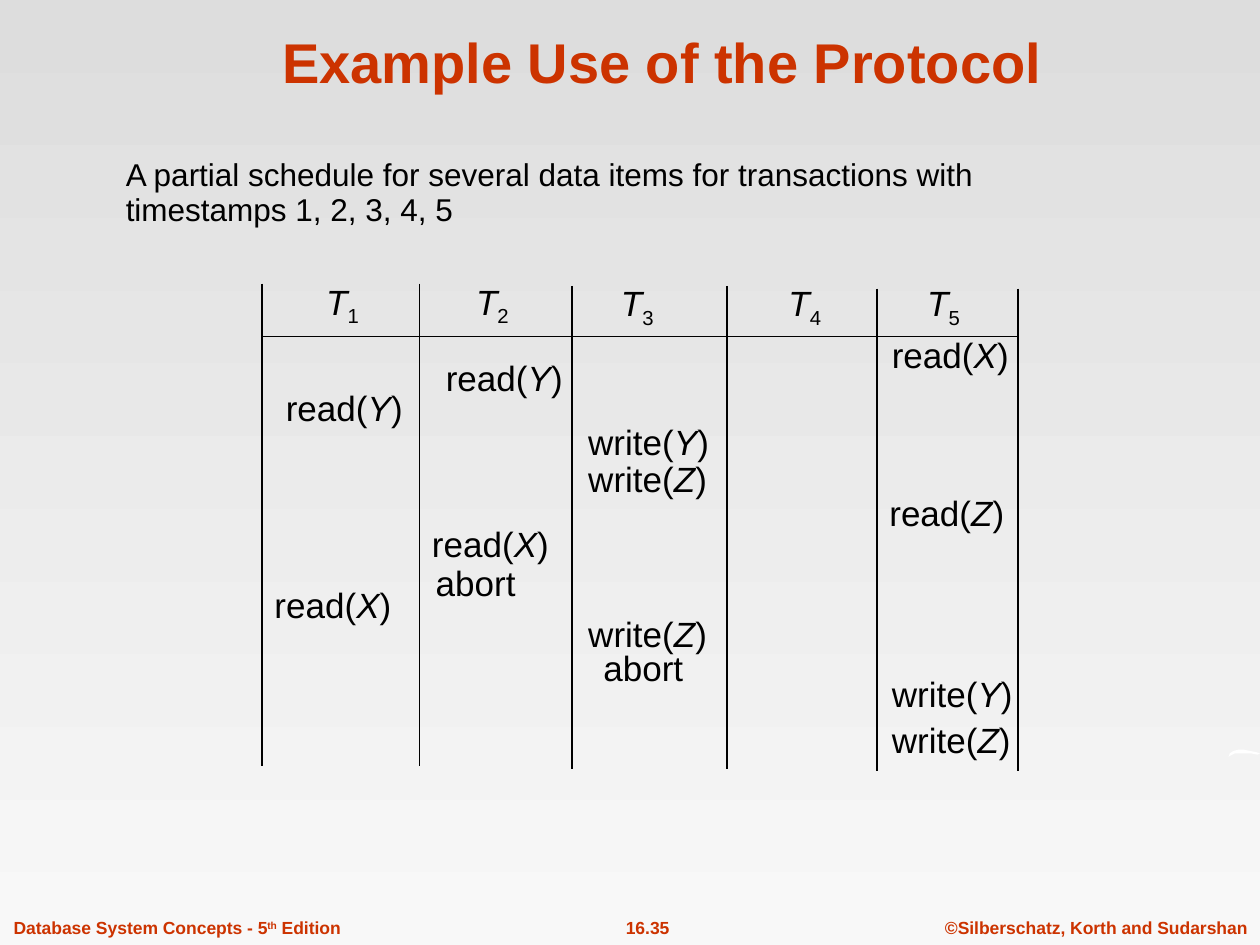
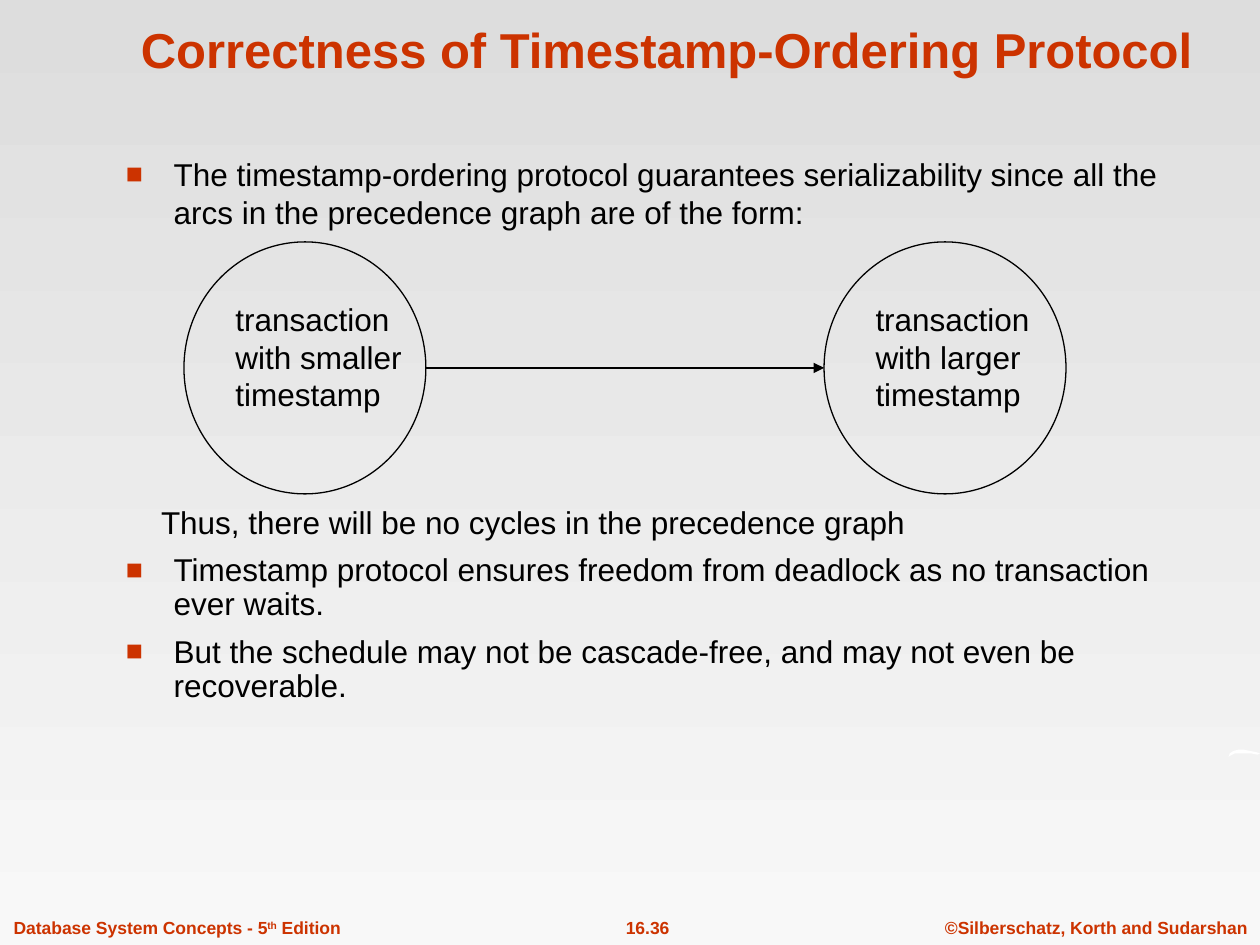
import pptx
import pptx.util
from lxml import etree
from pptx.dml.color import RGBColor
from pptx.enum.shapes import MSO_CONNECTOR, MSO_SHAPE
from pptx.enum.text import MSO_ANCHOR, MSO_AUTO_SIZE, PP_ALIGN
from pptx.oxml.ns import qn
from pptx.util import Inches, Pt

RED = RGBColor(0xCC, 0x33, 0x00)
BLACK = RGBColor(0x00, 0x00, 0x00)
WHITE = RGBColor(0xFF, 0xFF, 0xFF)
TOP_GRAY = RGBColor(0xDD, 0xDD, 0xDD)
BOTTOM_GRAY = RGBColor(0xF8, 0xF8, 0xF8)
FONT = "Arial"
LINE_HEIGHT = 1.2

SWOOSH = [(9.75, 6.01), (9.76, 5.98), (9.79, 5.96), (9.83, 5.95), (9.87, 5.95),
          (9.92, 5.96), (9.97, 5.97), (10, 5.98), (9.98, 5.99), (9.93, 5.98),
          (9.88, 5.98), (9.8, 5.98), (9.76, 6)]

# Column rules (x, top) and headings (left, top) of the schedule
RULES = [(2.08, 2.25), (3.33, 2.25), (4.54, 2.27), (5.77, 2.27), (6.96, 2.29), (8.08, 2.29)]
RULE_LENGTH = 3.83
HEADINGS = [(2.49, 2.22), (3.68, 2.22), (4.83, 2.23), (6.16, 2.23), (7.26, 2.23)]

# Steps of the schedule: left, top, width, action, data item
STEPS = [
    (3.44, 2.78, 1.13, "read", "Y"),
    (6.98, 2.6, 1.2, "read", "X"),
    (2.17, 3.02, 1.13, "read", "Y"),
    (4.57, 3.29, 1.23, "write", "Y"),
    (4.57, 3.58, 1.22, "write", "Z"),
    (6.96, 3.85, 1.19, "read", "Z"),
    (3.33, 4.1, 1.2, "read", "X"),
    (3.36, 4.41, 0.99, "abort", None),
    (2.08, 4.58, 1.2, "read", "X"),
    (4.57, 4.81, 1.22, "write", "Z"),
    (4.69, 5.08, 0.99, "abort", None),
    (6.98, 5.29, 1.23, "write", "Y"),
    (6.98, 5.65, 1.3, "write", "Z"),
]


# Text
def add_box(page, left, top, width, height, wrap=False):
    box = page.shapes.add_textbox(Inches(left), Inches(top), Inches(width), Inches(height))
    box.text_frame.word_wrap = wrap
    if not wrap:
        box.text_frame.auto_size = MSO_AUTO_SIZE.SHAPE_TO_FIT_TEXT
    return box.text_frame


def style(para, size, color=BLACK, bold=False):
    para.font.name = FONT
    para.font.size = Pt(size)
    para.font.color.rgb = color
    para.font.bold = bold
    para.line_spacing = Pt(round(size * LINE_HEIGHT, 1))


def add_span(para, text, italic=None, baseline=None):
    span = para.add_run()
    span.text = text
    # Runs repeat the paragraph's look, so that each one stands alone
    span.font.name = FONT
    span.font.size = para.font.size
    span.font.color.rgb = para.font.color.rgb
    span.font.bold = para.font.bold
    span.font.italic = italic
    if baseline is not None:
        span._r.get_or_add_rPr().set("baseline", str(baseline * 1000))


def add_text(page, place, spans, size, color=BLACK, bold=False, align=PP_ALIGN.LEFT):
    """Add one line; each span is (text, italic, baseline in percent)."""
    para = add_box(page, *place).paragraphs[0]
    style(para, size, color, bold)
    para.alignment = align
    for span in spans:
        add_span(para, *span)


def add_lines(frame, lines, size):
    """Fill a frame with plain paragraphs and return them."""
    paras = [frame.paragraphs[0]] + [frame.add_paragraph() for _ in lines[1:]]
    for para, line in zip(paras, lines):
        style(para, size)
        add_span(para, line)
    return paras


def set_bullet(para):
    props = para._p.get_or_add_pPr()
    props.set("marL", str(Inches(0.38)))
    props.set("indent", str(-Inches(0.38)))
    color = etree.Element(qn("a:buClr"))
    etree.SubElement(color, qn("a:srgbClr")).set("val", str(RED))
    size = etree.Element(qn("a:buSzPct"), val="90000")
    font = etree.Element(qn("a:buFont"), typeface=FONT)
    char = etree.Element(qn("a:buChar"), char="■")
    place = props.index(props.find(qn("a:defRPr")))
    props[place:place] = [color, size, font, char]


# Lines
def add_line(page, x1, y1, x2, y2, arrow=False):
    line = page.shapes.add_connector(MSO_CONNECTOR.STRAIGHT, Inches(x1), Inches(y1),
                                     Inches(x2), Inches(y2))
    line.line.color.rgb = BLACK
    line.line.width = Pt(0.75)
    if arrow:
        etree.SubElement(line._element.spPr.find(qn("a:ln")), qn("a:tailEnd"), type="triangle")
    etree.SubElement(line._element.spPr, qn("a:effectLst"))


# Shared parts of the slides
def add_page(deck, number, title, title_place, title_size):
    page = deck.slides.add_slide(deck.slide_layouts[6])
    fill = page.background.fill
    fill.gradient()
    fill.gradient_angle = 270
    for stop, color in zip(fill.gradient_stops, (TOP_GRAY, BOTTOM_GRAY)):
        stop.color.rgb = color

    # Footer
    footers = [
        (7.4, 2.6, PP_ALIGN.CENTER, [("©Silberschatz, Korth and Sudarshan",)]),
        (4.61, 1.06, PP_ALIGN.CENTER, [(number,)]),
        (0.01, 3, PP_ALIGN.LEFT,
         [("Database System Concepts - 5",), ("th", None, 30), (" Edition",)]),
    ]
    for left, width, align, spans in footers:
        add_text(page, (left, 7.23, width, 0.27), spans, 10, RED, True, align)

    # White stroke at the right edge
    points = [(Inches(x), Inches(y)) for x, y in SWOOSH]
    builder = page.shapes.build_freeform(*points[0])
    builder.add_line_segments(points[1:], close=True)
    swoosh = builder.convert_to_shape()
    swoosh.shadow.inherit = False
    swoosh.fill.solid()
    swoosh.fill.fore_color.rgb = WHITE
    swoosh.line.fill.background()

    # Title
    frame = add_box(page, *title_place, wrap=True)
    frame.vertical_anchor = MSO_ANCHOR.BOTTOM
    para = frame.paragraphs[0]
    style(para, title_size, RED, True)
    para.alignment = PP_ALIGN.CENTER
    add_span(para, title)
    return page


def add_transaction(page, left, kind, text_width):
    circle = page.shapes.add_shape(MSO_SHAPE.OVAL, Inches(left), Inches(1.92),
                                   Inches(1.92), Inches(2))
    circle.shadow.inherit = False
    circle.fill.background()
    circle.line.color.rgb = BLACK
    circle.line.width = Pt(0.75)
    frame = add_box(page, left + 0.31, 2.33, text_width, 1)
    add_lines(frame, ["transaction", f"with {kind}", "timestamp"], 18)


def build_schedule(deck):
    page = add_page(deck, "16.35", "Example Use of the Protocol", (0.84, 0.13, 8.83, 0.67), 32)
    intro = add_box(page, 0.9, 1.18, 8.96, 5.33, wrap=True)
    paras = add_lines(intro, ["A partial schedule for several data items for transactions with",
                              "timestamps 1, 2, 3, 4, 5"], 18)
    paras[1].line_spacing = Pt(20)

    for x, top in RULES:
        add_line(page, x, top, x, top + RULE_LENGTH)
    add_line(page, RULES[0][0], 2.67, RULES[-1][0], 2.67)

    for number, (left, top) in enumerate(HEADINGS, 1):
        add_text(page, (left, top, 0.46, 0.44), [("T", True), (str(number), False, -25)], 20)
    for left, top, width, action, item in STEPS:
        spans = [(action + "(",), (item, True), (")",)] if item else [(action,)]
        add_text(page, (left, top, width, 0.44), spans, 20)


def build_correctness(deck):
    page = add_page(deck, "16.36", "Correctness of Timestamp-Ordering Protocol",
                    (0.58, 0, 9.42, 0.67), 28)
    body = add_box(page, 0.9, 1.18, 8.63, 5.78, wrap=True)
    paras = add_lines(body, [
        "The timestamp-ordering protocol guarantees serializability since all the arcs in the "
        "precedence graph are of the form:",
        "Thus, there will be no cycles in the precedence graph",
        "Timestamp protocol ensures freedom from deadlock as no transaction ever waits.",
        "But the schedule may not be cascade-free, and may not even be recoverable.",
    ], 18)
    first, conclusion, *others = paras
    conclusion.space_before = Pt(155.5)  # room for the graph
    conclusion._p.get_or_add_pPr().set("marL", str(Inches(0.28)))
    for para in others:
        para.space_before = Pt(7.9)
        para.line_spacing = Pt(19.4)
    for para in (first, *others):
        set_bullet(para)

    # Precedence graph
    add_transaction(page, 1.46, "smaller", 1.52)
    add_transaction(page, 6.54, "larger", 1.42)
    add_line(page, 3.38, 2.92, 6.54, 2.92, arrow=True)


def main():
    deck = pptx.Presentation()
    deck.slide_width = Inches(10)
    deck.slide_height = Inches(7.5)
    build_schedule(deck)
    build_correctness(deck)
    deck.save("out.pptx")


if __name__ == "__main__":
    main()
